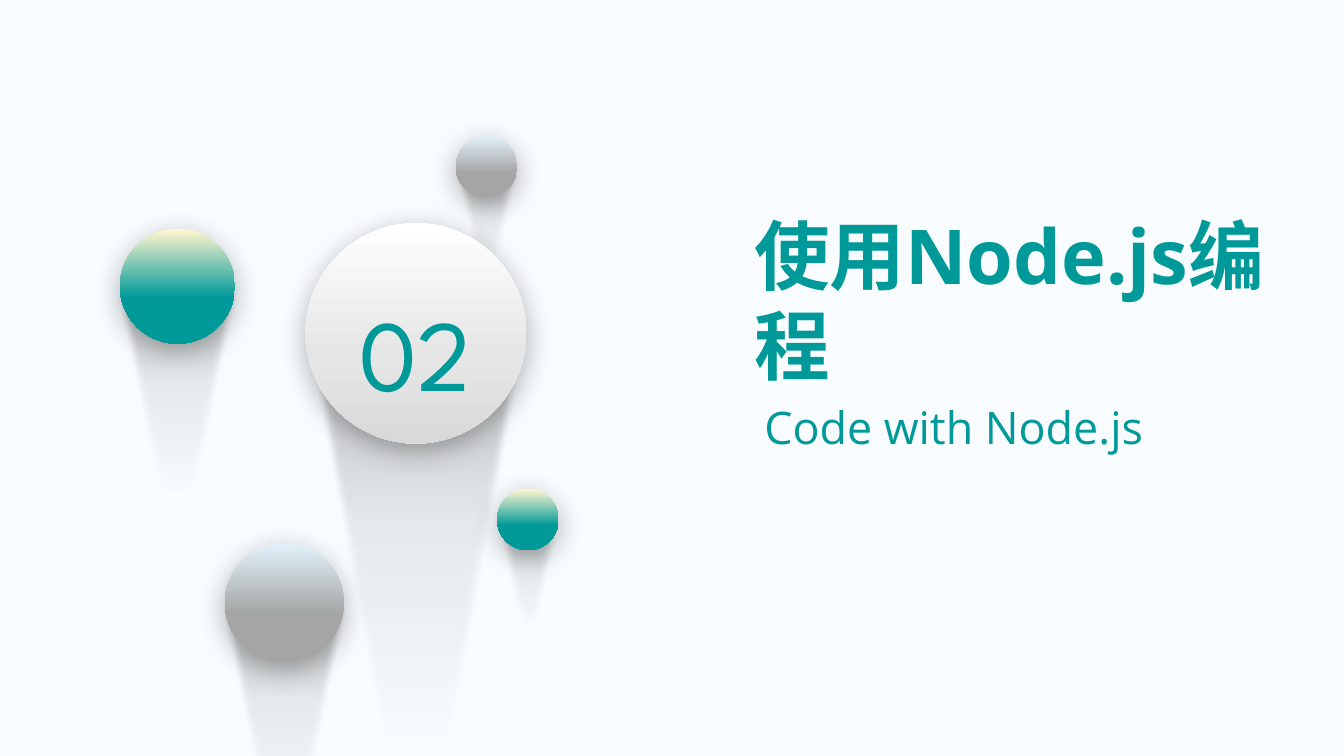
"""Section slide: numbered ball among floating balls, with title and subtitle."""
from lxml import etree
from pptx import Presentation
from pptx.dml import color
from pptx.enum import shapes, text
from pptx.oxml import ns
from pptx.util import Inches, Pt

HUES = {"back": "F8FCFE", "teal": "009999", "cream": "FFF6CF", "ice": "E1F0F9",
        "gray": "A5A5A5", "white": "FFFFFF", "pale": "E7E6E6", "silver": "D9D9D9",
        "black": "000000", "dark": "262626"}


def paint(shape, stops, effect):
    shape.line.fill.background()
    shape.shadow.inherit = False
    shape.fill.background()
    props = shape.element.spPr
    marks = "".join(
        f'<a:gs pos="{pos * 1000}"><a:srgbClr val="{HUES[hue]}">'
        f'<a:alpha val="{alpha * 1000}"/></a:srgbClr></a:gs>'
        for pos, hue, alpha in stops)
    grad = etree.fromstring(
        f'<a:gradFill {ns.nsdecls("a")} rotWithShape="1"><a:gsLst>{marks}</a:gsLst>'
        '<a:lin ang="5400000" scaled="0"/></a:gradFill>')
    props.replace(props.find(ns.qn("a:noFill")), grad)
    props.find(ns.qn("a:effectLst")).append(etree.fromstring(effect))


def write(frame, words, font, size, bold=False, gap=1.0):
    frame.word_wrap = True
    para = frame.paragraphs[0]
    para.line_spacing = gap
    para.space_before = Pt(0)
    run = para.add_run()
    run.text = words
    run.font.name = font
    run.font.size = Pt(size)
    run.font.bold = bold
    run.font.color.rgb = color.RGBColor.from_string(HUES["teal"])
    etree.SubElement(run.font._element, ns.qn("a:ea")).set("typeface", font)
    return para


deck = Presentation()
deck.slide_width, deck.slide_height = Inches(13.33), Inches(7.5)
slide = deck.slides.add_slide(deck.slide_layouts[0])
slide.background.fill.solid()
slide.background.fill.fore_color.rgb = color.RGBColor.from_string(HUES["back"])

SHADE = (f'<a:outerShdw {ns.nsdecls("a")} blurRad="254000" dist="63500" dir="5400000" '
         'algn="t" rotWithShape="0"><a:srgbClr val="000000"><a:alpha val="30000"/>'
         '</a:srgbClr></a:outerShdw>')
SOFT = f'<a:softEdge {ns.nsdecls("a")} rad="63500"/>'
FADE = [(30, "black", 0), (50, "black", 4), (70, "black", 8), (100, "dark", 30)]
GRAY = [(1, "ice", 100), (60, "gray", 100), (100, "gray", 100)]
TEAL = [(1, "cream", 100), (60, "teal", 100), (100, "teal", 100)]
LIGHT = [(0, "white", 100), (60, "pale", 100), (100, "silver", 100)]
CURVE = [(0, 1), (0.17, 0.67), (0.46, 0), (0.5, 0), (0.54, 0), (0.83, 0.67), (1, 1)]

balls = [
    ((4.52, 1.35, 0.61), (4.49, 1.66, 0.68, 1.66), GRAY, ""),
    ((3.03, 2.21, 2.19), (3.02, 3.32, 2.22, 5.94), LIGHT, "02"),
    ((2.23, 5.39, 1.18), (2.17, 5.98, 1.31, 3.2), GRAY, ""),
    ((4.93, 4.85, 0.61), (4.9, 5.16, 0.68, 1.66), TEAL, ""),
    ((1.19, 2.27, 1.14), (1.13, 2.85, 1.26, 3.09), TEAL, ""),
]
for (left, top, size), (x, y, wide, high), stops, label in balls:
    group = slide.shapes.add_group_shape()
    points = [(Inches(x + wide * u), Inches(y + high * v)) for u, v in CURVE]
    pen = group.shapes.build_freeform(*points[0])
    pen.add_line_segments(points[1:], close=True)
    tail = pen.convert_to_shape()
    tail.rotation = 180
    sides = list(tail.element.iter(ns.qn("a:lnTo")))
    for first in (0, 3):
        bend = etree.Element(ns.qn("a:cubicBezTo"))
        sides[first].addprevious(bend)
        for side in sides[first:first + 3]:
            bend.append(side[0])
            side.getparent().remove(side)
    paint(tail, FADE, SOFT)
    ball = group.shapes.add_shape(shapes.MSO_SHAPE.OVAL, Inches(left), Inches(top),
                                  Inches(size), Inches(size))
    paint(ball, stops, SHADE)
    if label:
        ball.text_frame.vertical_anchor = text.MSO_ANCHOR.MIDDLE
        para = write(ball.text_frame, label, "League Spartan", 72, gap=1.3)
        para.alignment = text.PP_ALIGN.CENTER

title, sub = slide.placeholders
lines = [(title, "使用Node.js编程", 54, True, (7.38, 2.91, 5.86, 1.01), text.MSO_ANCHOR.BOTTOM),
         (sub, "Code with Node.js", 32, False, (7.48, 3.92, 5.01, 0.64), text.MSO_ANCHOR.TOP)]
for holder, words, size, bold, place, anchor in lines:
    holder.left, holder.top, holder.width, holder.height = map(Inches, place)
    holder.text_frame.vertical_anchor = anchor
    holder.text_frame.auto_size = text.MSO_AUTO_SIZE.NONE
    para = write(holder.text_frame, words, "Open Sans", size, bold)
    para.alignment = text.PP_ALIGN.LEFT

deck.save("out.pptx")
